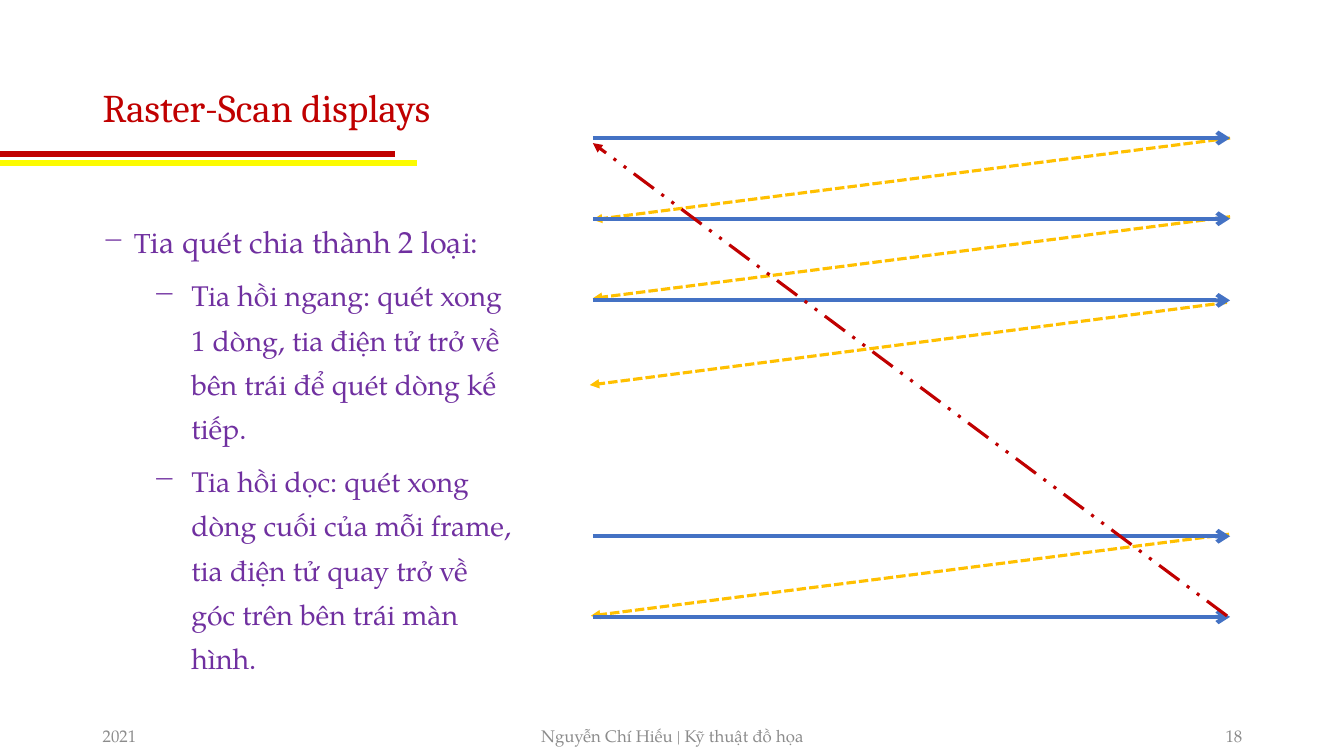
from lxml import etree
from pptx import Presentation
from pptx.dml.color import RGBColor
from pptx.enum.dml import MSO_LINE
from pptx.enum.shapes import MSO_CONNECTOR
from pptx.enum.text import MSO_ANCHOR, PP_ALIGN
from pptx.oxml.ns import qn
from pptx.util import Emu, Pt

PX = 9144  # 100 px to the inch
STRAIGHT = MSO_CONNECTOR.STRAIGHT
SQUARE_DOT = MSO_LINE.SQUARE_DOT
DASH_DOT_DOT = MSO_LINE.DASH_DOT_DOT
TOP, MIDDLE = MSO_ANCHOR.TOP, MSO_ANCHOR.MIDDLE
LEFT, CENTER, RIGHT = PP_ALIGN.LEFT, PP_ALIGN.CENTER, PP_ALIGN.RIGHT

RED, YELLOW, PURPLE = "C00000", "FCFB01", "7030A0"
BLUE, AMBER, GRAY = "4472C4", "FFC000", "8C8C8C"
SERIF = "TeX Gyre Pagella"

SCAN_LEFT, SCAN_RIGHT = 588, 1220
SCAN_ROWS = [137, 217, 298, 532, 612]
HORIZONTAL_RETRACES = [
    ((1220, 137), (588, 218)),
    ((1220, 215), (588, 296)),
    ((1217, 300), (585, 382)),
    ((1219, 530), (586, 611)),
]
FOOTERS = [
    ("2021", 92, 300, LEFT),
    ("Nguyễn Chí Hiếu | Kỹ thuật đồ họa", 442, 450, CENTER),
    ("18", 942, 300, RIGHT),
]
# Each item: level, then runs of (text, size)
SCAN_NOTES = [
    (0, [("T", 19.6), ("ia quét chia thành 2 loại:", 21.7)]),
    (1, [("Tia hồi ngang: quét xong 1 dòng, tia điện tử trở về "
          "bên trái để quét dòng kế tiếp.", 20.3)]),
    (1, [("Tia hồi dọc: quét xong dòng cuối của mỗi frame, tia điện tử "
          "quay trở về góc trên bên trái màn hình.", 20.3)]),
]
DASH_INDENTS = [(31, -31), (88, -38)]


def px(length):
    return Emu(length * PX)


def color(hex_code):
    return RGBColor.from_string(hex_code)


def add_line(slide, start, end, hex_code, width, dash=None, arrow=None):
    line = slide.shapes.add_connector(STRAIGHT, *map(px, (*start, *end)))
    line.line.color.rgb = color(hex_code)
    line.line.width = Pt(width)
    if dash is not None:
        line.line.dash_style = dash
    if arrow:
        outline = line._element.spPr.find(qn("a:ln"))
        etree.SubElement(outline, qn("a:tailEnd"), type=arrow)
    etree.SubElement(line._element.spPr, qn("a:effectLst"))


def add_frame(slide, left, top, width, height, anchor=MIDDLE):
    box = slide.shapes.add_textbox(*map(px, (left, top, width, height)))
    frame = box.text_frame
    frame.word_wrap = True
    frame.vertical_anchor = anchor
    return frame


def add_text(paragraph, text, *, size, hex_code, font=SERIF, align=LEFT):
    paragraph.alignment = align
    run = paragraph.add_run()
    run.text = text
    run.font.name = font
    run.font.size = Pt(size)
    run.font.color.rgb = color(hex_code)


def add_dash(paragraph, level):
    """Give the paragraph a hanging dash bullet for its level."""
    margin, indent = DASH_INDENTS[level]
    properties = paragraph._p.get_or_add_pPr()
    properties.set("marL", str(px(margin)))
    properties.set("indent", str(px(indent)))
    bullet_color = etree.SubElement(properties, qn("a:buClr"))
    etree.SubElement(bullet_color, qn("a:srgbClr"), val=PURPLE)
    etree.SubElement(properties, qn("a:buChar"), char="−")


def add_scan_notes(slide):
    frame = add_frame(slide, 92, 206, 430, 480, anchor=TOP)
    for index, (level, runs) in enumerate(SCAN_NOTES):
        paragraph = frame.add_paragraph() if index else frame.paragraphs[0]
        add_dash(paragraph, level)
        paragraph.level = level
        paragraph.line_spacing = 1.3
        paragraph.space_before = Pt(4 if index else 0)
        paragraph.space_after = Pt(2)
        for text, size in runs:
            add_text(paragraph, text, size=size, hex_code=PURPLE)


def add_raster(slide):
    for start, end in HORIZONTAL_RETRACES:
        add_line(slide, start, end, AMBER, 2.25, SQUARE_DOT, "triangle")
    for y in SCAN_ROWS:
        add_line(slide, (SCAN_LEFT, y), (SCAN_RIGHT, y), BLUE, 3, arrow="arrow")
    add_line(slide, (1217, 611), (588, 142), RED, 2.25, DASH_DOT_DOT, "triangle")


def main():
    deck = Presentation()
    deck.slide_width, deck.slide_height = px(1333), px(750)
    slide = deck.slides.add_slide(deck.slide_layouts[6])

    add_line(slide, (0, 162), (414, 162), YELLOW, 4.25)
    add_line(slide, (0, 153), (392, 153), RED, 4.25)

    title = add_frame(slide, 92, 36, 430, 145).paragraphs[0]
    title.line_spacing = 0.9
    add_text(title, "Raster-Scan displays", size=28, hex_code=RED, font="Cambria")

    add_scan_notes(slide)
    for text, left, width, align in FOOTERS:
        footer = add_frame(slide, left, 710, width, 40).paragraphs[0]
        add_text(footer, text, size=12, hex_code=GRAY, align=align)
    add_raster(slide)

    deck.save("out.pptx")


if __name__ == "__main__":
    main()
